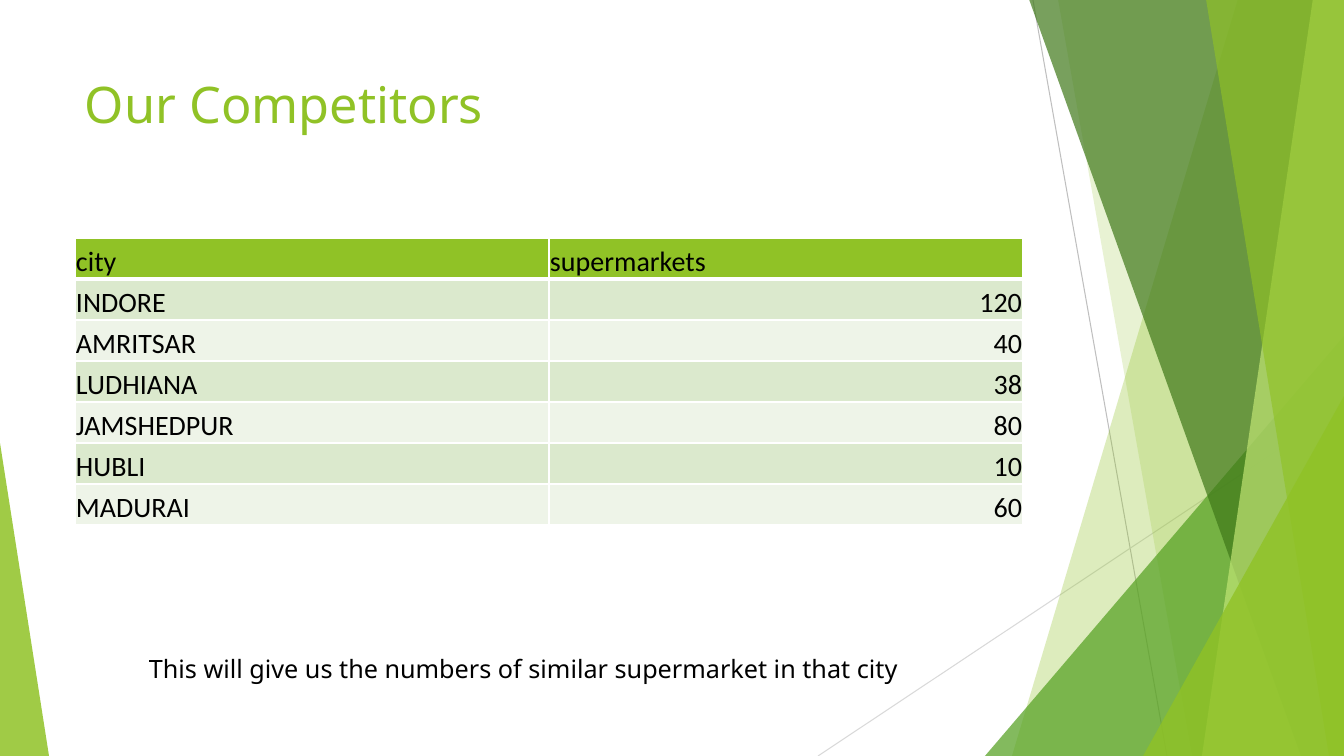
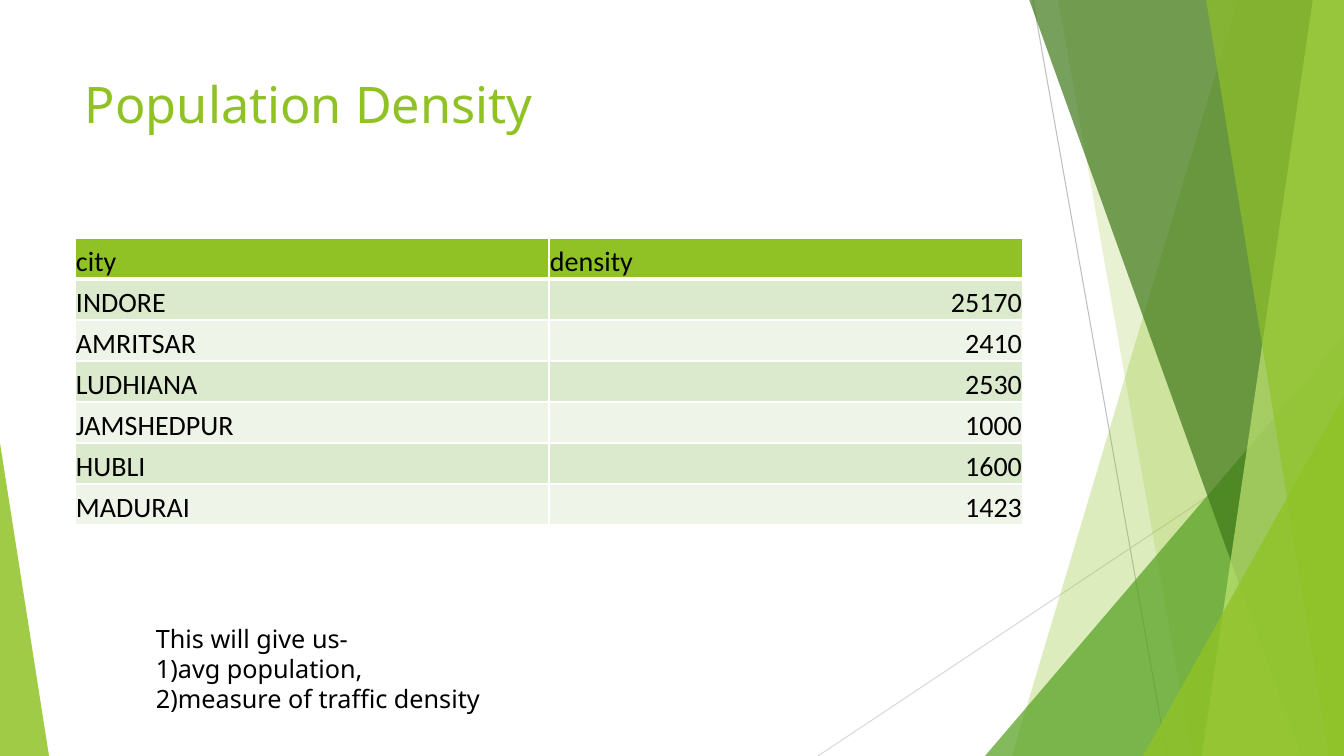
from lxml.etree import SubElement
from pptx import Presentation
from pptx.dml.color import RGBColor
from pptx.enum.shapes import MSO_CONNECTOR, MSO_SHAPE
from pptx.enum.text import MSO_ANCHOR, PP_ALIGN
from pptx.oxml.ns import qn
from pptx.util import Pt

PX = 914400 / 100.8
WIDTH, HEIGHT = 1344, 756

LIME = RGBColor(0x90, 0xC2, 0x26)
PALE_LIME = RGBColor(0xC0, 0xE4, 0x74)
GREEN = RGBColor(0x54, 0xA0, 0x21)
DARK_GREEN = RGBColor(0x3F, 0x78, 0x19)
ROW_ODD = RGBColor(0xDB, 0xE9, 0xCD)
ROW_EVEN = RGBColor(0xEE, 0xF4, 0xE8)
GREY = RGBColor(0xBF, 0xBF, 0xBF)
LIGHT_GREY = RGBColor(0xD9, 0xD9, 0xD9)
WHITE = RGBColor(0xFF, 0xFF, 0xFF)
BLACK = RGBColor(0, 0, 0)

BODY_FONT = "Noto Sans"
TABLE_FONT = "Calibri"
ROW_HEIGHT = 41
CITIES = ["INDORE", "AMRITSAR", "LUDHIANA", "JAMSHEDPUR", "HUBLI", "MADURAI"]


def px(*lengths):
    """Turn pixel lengths into a list of EMU."""
    return [round(length * PX) for length in lengths]


def write_text(tf, text, *, size=18, font=BODY_FONT, color=BLACK, align=PP_ALIGN.LEFT):
    """Fill a text frame, one paragraph for each line of text."""
    for i, line in enumerate(text.split("\n")):
        p = tf.paragraphs[0] if i == 0 else tf.add_paragraph()
        p.alignment = align
        r = p.add_run()
        r.text = line
        r.font.size = Pt(size)
        r.font.name = font
        r.font.color.rgb = color


def add_text(s, box, text, **fmt):
    """Add a wrapping text box."""
    tf = s.shapes.add_textbox(*px(*box)).text_frame
    tf.word_wrap = True
    write_text(tf, text, **fmt)


def paint(sp, color, opacity):
    """Give a shape a see-through fill with no line or shadow."""
    sp.shadow.inherit = False
    sp.line.fill.background()
    sp.fill.solid()
    sp.fill.fore_color.rgb = color
    rgb = sp.element.spPr.find(qn("a:solidFill")).find(qn("a:srgbClr"))
    SubElement(rgb, qn("a:alpha"), val=str(opacity * 1000))


def add_line(s, start, end, color):
    """Add a thin straight line."""
    line = s.shapes.add_connector(MSO_CONNECTOR.STRAIGHT, *px(*start, *end))
    line.line.color.rgb = color
    line.line.width = Pt(0.75)
    SubElement(line.element.spPr, qn("a:effectLst"))


def add_band(s, top_x, bottom_x, color, opacity):
    """Add a full-height band from a slanted left side to the slide's right edge."""
    builder = s.shapes.build_freeform(top_x, -1, scale=PX)
    builder.add_line_segments([(WIDTH, -1), (WIDTH, HEIGHT), (bottom_x, HEIGHT)])
    paint(builder.convert_to_shape(), color, opacity)


def add_corner(s, box, apex, color, opacity):
    """Add a triangle whose apex is at the left (0) or right (1)."""
    sp = s.shapes.add_shape(MSO_SHAPE.ISOSCELES_TRIANGLE, *px(*box))
    sp.adjustments[0] = apex
    paint(sp, color, opacity)


def add_backdrop(s):
    """Draw the facets that every slide shares."""
    add_line(s, (1033, 0), (1167, HEIGHT), GREY)
    add_line(s, (WIDTH, 406), (818, HEIGHT), LIGHT_GREY)
    add_band(s, 1238, 1012, LIME, 30)
    add_band(s, 1058, 1192, LIME, 20)
    add_corner(s, (985, 336, 359, 420), 1, GREEN, 72)
    add_band(s, 1029, 1301, DARK_GREEN, 70)
    add_band(s, 1313, 1202, PALE_LIME, 70)
    add_band(s, 1206, 1329, LIME, 65)
    add_corner(s, (1143, 396, 201, 360), 1, LIME, 80)
    add_corner(s, (0, 443, 49, 313), 0, LIME, 85)


def add_borders(cell, top, bottom):
    """Give a cell white borders, with top and bottom widths in points."""
    tc_pr = cell._tc.get_or_add_tcPr()
    for side, width in (("L", 1), ("R", 1), ("T", top), ("B", bottom)):
        ln = SubElement(tc_pr, qn("a:ln" + side), w=str(Pt(width)))
        SubElement(SubElement(ln, qn("a:solidFill")), qn("a:srgbClr"), val=str(WHITE))


def style_cell(cell, row):
    """Set a cell's borders, fill, margins and anchor by its row."""
    add_borders(cell, 3 if row == 1 else 1, 3 if row == 0 else 1)
    cell.fill.solid()
    cell.fill.fore_color.rgb = LIME if row == 0 else (ROW_EVEN, ROW_ODD)[row % 2]
    cell.margin_left = cell.margin_right = cell.margin_top = px(1)[0]
    cell.margin_bottom = 0
    cell.vertical_anchor = MSO_ANCHOR.BOTTOM


def add_city_table(s, measure, values):
    """Add a table with one value for each city."""
    rows = [("city", measure), *zip(CITIES, values)]
    box = px(75, 238, 948, ROW_HEIGHT * len(rows))
    table = s.shapes.add_table(len(rows), 2, *box).table
    table.first_row = table.horz_banding = False
    for i, row in enumerate(rows):
        for j, value in enumerate(row):
            cell = table.cell(i, j)
            style_cell(cell, i)
            align = PP_ALIGN.RIGHT if i and j else PP_ALIGN.LEFT
            write_text(cell.text_frame, str(value), size=20, font=TABLE_FONT, align=align)


def add_city_slide(prs, title, measure, values, note, note_box):
    """Add a slide with a title, a city table and a note."""
    s = prs.slides.add_slide(prs.slide_layouts[6])
    add_backdrop(s)
    add_text(s, (75, 68, 948, 145), title, size=36, color=LIME)
    add_city_table(s, measure, values)
    add_text(s, note_box, note)


def main():
    """Build and save the presentation."""
    prs = Presentation()
    prs.slide_width, prs.slide_height = px(WIDTH, HEIGHT)
    add_city_slide(prs, "Our Competitors", "supermarkets", [120, 40, 38, 80, 10, 60],
                   "This will give us the numbers of similar supermarket in that city",
                   (139, 648, 970, 40))
    add_city_slide(prs, "Population Density", "density",
                   [25170, 2410, 2530, 1000, 1600, 1423],
                   "This will give us-\n1)avg population,\n2)measure of traffic density",
                   (146, 618, 672, 102))
    prs.save("out.pptx")


main()
